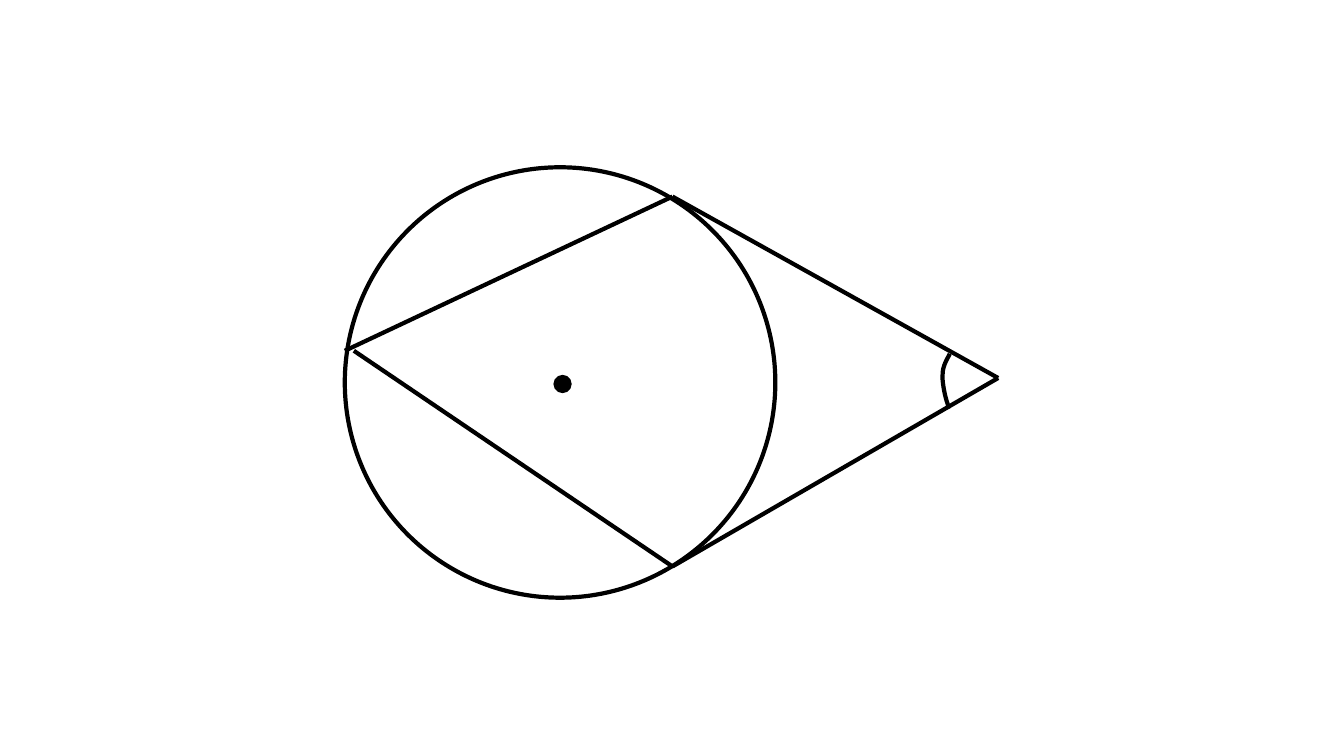
from dataclasses import dataclass
from typing import NamedTuple

from lxml import etree
from pptx import Presentation
from pptx.dml.color import RGBColor
from pptx.enum.shapes import MSO_CONNECTOR, MSO_SHAPE
from pptx.oxml.ns import qn
from pptx.shapes.group import GroupShape
from pptx.util import Inches, Pt

STRAIGHT = MSO_CONNECTOR.STRAIGHT
OVAL = MSO_SHAPE.OVAL
BLANK_LAYOUT = 6


@dataclass(frozen=True)
class Theme:
    ink: RGBColor = RGBColor(0, 0, 0)
    paper: RGBColor = RGBColor(255, 255, 255)
    stroke: float = 3
    dot_stroke: float = 1.5


class Point(NamedTuple):
    x: float
    y: float


class Segment(NamedTuple):
    start: Point
    end: Point


class Disc(NamedTuple):
    left: float
    top: float
    diameter: float
    filled: bool


class Bezier(NamedTuple):
    start: Point
    control_a: Point
    control_b: Point
    end: Point


THEME = Theme()
TOP_TANGENT = Point(6.67, 1.95)
BOTTOM_TANGENT = Point(6.67, 5.62)
APEX = Point(9.9, 3.75)

CIRCLE = Disc(3.42, 1.66, 4.27, False)
CENTRE = Disc(5.5, 3.73, 0.16, True)
SEGMENTS = [
    Segment(Point(3.42, 3.48), TOP_TANGENT),
    Segment(Point(3.51, 3.48), BOTTOM_TANGENT),
    Segment(APEX, BOTTOM_TANGENT),
    Segment(TOP_TANGENT, APEX),
]
ANGLE_MARK = [
    Bezier(Point(9.42, 3.51), Point(9.41, 3.54), Point(9.35, 3.62), Point(9.35, 3.71)),
    Bezier(Point(9.35, 3.71), Point(9.34, 3.79), Point(9.38, 3.96), Point(9.4, 4.01)),
    Bezier(Point(9.4, 4.01), Point(9.41, 4.07), Point(9.41, 4.02), Point(9.42, 4.02)),
]


def format_line(shape, width: float) -> None:
    shape.line.color.rgb = THEME.ink
    shape.line.width = Pt(width)


def draw_disc(figure: GroupShape, disc: Disc) -> None:
    size = Inches(disc.diameter)
    oval = figure.shapes.add_shape(OVAL, Inches(disc.left), Inches(disc.top), size, size)
    oval.shadow.inherit = False
    if disc.filled:
        oval.fill.solid()
        oval.fill.fore_color.rgb = THEME.ink
    else:
        oval.fill.background()
    format_line(oval, THEME.dot_stroke if disc.filled else THEME.stroke)


def draw_segment(figure: GroupShape, segment: Segment) -> None:
    ends = [Inches(value) for point in segment for value in point]
    connector = figure.shapes.add_connector(STRAIGHT, *ends)
    format_line(connector, THEME.stroke)
    etree.SubElement(connector.element.spPr, qn("a:effectLst"))


def point_on(curve: Bezier, t: float) -> tuple[int, int]:
    weights = ((1 - t) ** 3, 3 * t * (1 - t) ** 2, 3 * t**2 * (1 - t), t**3)
    x = sum(weight * point.x for weight, point in zip(weights, curve))
    y = sum(weight * point.y for weight, point in zip(weights, curve))
    return Inches(x), Inches(y)


def draw_curve(figure: GroupShape, curves: list[Bezier], steps: int = 12) -> None:
    start = curves[0].start
    builder = figure.shapes.build_freeform(Inches(start.x), Inches(start.y))
    points = [point_on(curve, step / steps) for curve in curves for step in range(1, steps + 1)]
    builder.add_line_segments(points, close=False)
    mark = builder.convert_to_shape()
    mark.shadow.inherit = False
    mark.fill.solid()
    mark.fill.fore_color.rgb = THEME.paper
    format_line(mark, THEME.stroke)


def main() -> None:
    deck = Presentation()
    deck.slide_width, deck.slide_height = Inches(13.33), Inches(7.5)
    page = deck.slides.add_slide(deck.slide_layouts[BLANK_LAYOUT])
    figure = page.shapes.add_group_shape()
    draw_disc(figure, CIRCLE)
    for segment in SEGMENTS:
        draw_segment(figure, segment)
    draw_disc(figure, CENTRE)
    draw_curve(figure, ANGLE_MARK)
    deck.save("out.pptx")


if __name__ == "__main__":
    main()
